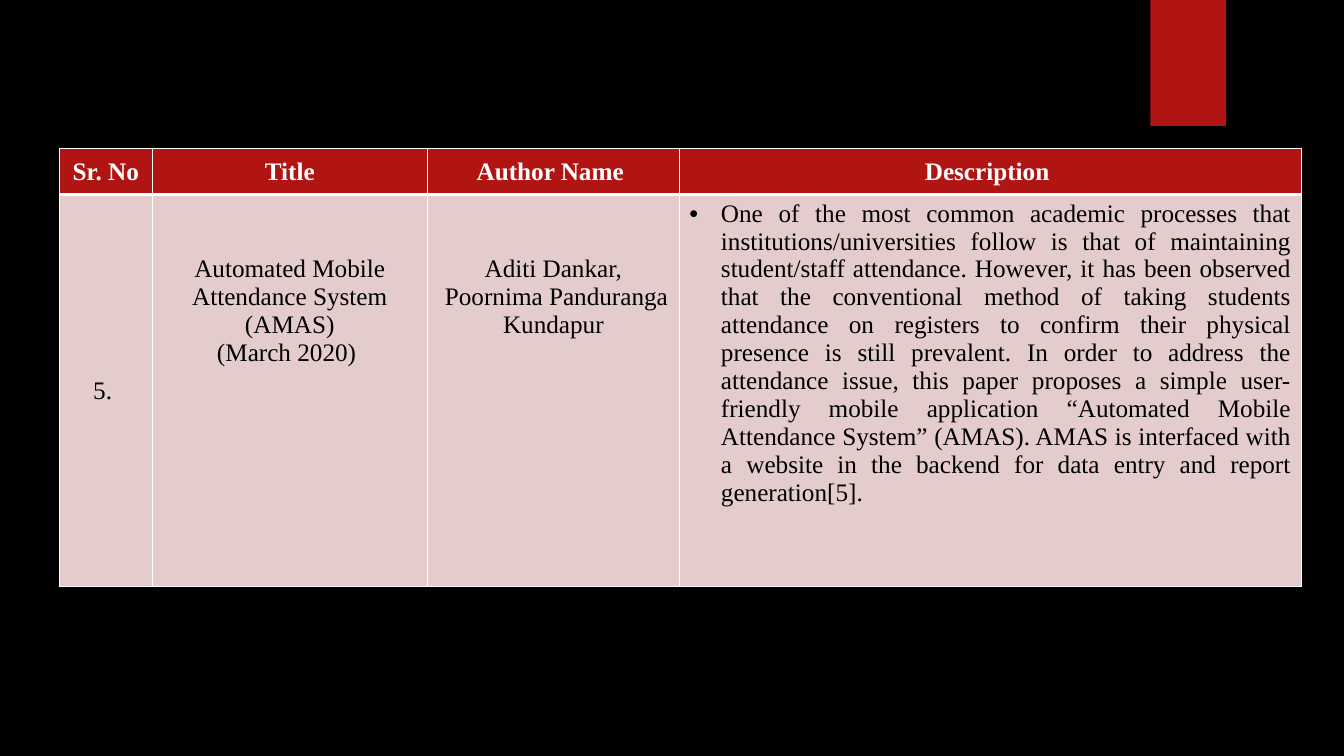
from lxml import etree
from pptx import Presentation
from pptx.dml.color import RGBColor
from pptx.enum.shapes import MSO_SHAPE
from pptx.enum.text import MSO_ANCHOR, PP_ALIGN
from pptx.oxml.ns import qn
from pptx.util import Pt

RECT = MSO_SHAPE.RECTANGLE
TOP, MIDDLE = MSO_ANCHOR.TOP, MSO_ANCHOR.MIDDLE
CENTER, JUSTIFY = PP_ALIGN.CENTER, PP_ALIGN.JUSTIFY

COLORS = {"back": "000000", "red": "B01513", "pink": "E4CCCC",
          "white": "FFFFFF", "black": "000000"}
FONT = "Times New Roman"
WIDTHS = [66.2, 196.6, 180, 444.2]
HEIGHTS = [33, 280]
DROP = 43.2  # top margin that sets the title and authors two lines lower

HEADS = ["Sr. No ", "Title", "Author Name ", "Description "]
TITLE = ["Automated Mobile Attendance System (AMAS)", "(March 2020) "]
AUTHORS = ["Aditi Dankar,", " Poornima Panduranga Kundapur"]
ABOUT = (
    "One of the most common academic processes that institutions/universities "
    "follow is that of maintaining student/staff attendance. However, it has "
    "been observed that the conventional method of taking students attendance "
    "on registers to confirm their physical presence is still prevalent. In "
    "order to address the attendance issue, this paper proposes a simple "
    "user-friendly mobile application “Automated Mobile Attendance System” "
    "(AMAS). AMAS is interfaced with a website in the backend for data entry "
    "and report generation[5]."
)


def paint(fill, name):
    fill.solid()
    fill.fore_color.rgb = RGBColor.from_string(COLORS[name])


def add_edges(cell, base):
    """Draw white cell borders; base is the width of the bottom one."""
    props = cell._tc.get_or_add_tcPr()
    for side, width in (("L", 1), ("R", 1), ("T", 1), ("B", base)):
        line = etree.SubElement(props, qn(f"a:ln{side}"), w=str(Pt(width)))
        fill = etree.SubElement(line, qn("a:solidFill"))
        etree.SubElement(fill, qn("a:srgbClr"), val=COLORS["white"])


def add_bullet(para, indent):
    props = para._p.get_or_add_pPr()
    props.set("marL", str(Pt(indent)))
    props.set("indent", str(-Pt(indent)))
    etree.SubElement(props, qn("a:buFont"), typeface="Arial")
    etree.SubElement(props, qn("a:buChar"), char="•")


def fill_cell(cell, lines, head=False, anchor=MIDDLE, align=CENTER, top=3.6):
    add_edges(cell, 3 if head else 1)
    paint(cell.fill, "red" if head else "pink")
    cell.vertical_anchor = anchor
    cell.margin_top = Pt(top)
    cell.text = "\n".join(lines)
    for para in cell.text_frame.paragraphs:
        para.alignment = align
        font = para.font
        font.name, font.size, font.bold = FONT, Pt(18), head
        paint(font.fill, "white" if head else "black")


def add_papers(slide):
    frame = slide.shapes.add_table(2, 4, Pt(42.5), Pt(106),
                                   Pt(sum(WIDTHS)), Pt(sum(HEIGHTS)))
    table = frame.table
    for col, width in zip(table.columns, WIDTHS):
        col.width = Pt(width)
    for row, height in zip(table.rows, HEIGHTS):
        row.height = Pt(height)

    for col, head in enumerate(HEADS):
        fill_cell(table.cell(0, col), [head], head=True)
    fill_cell(table.cell(1, 0), ["5. "])
    for col, lines in ((1, TITLE), (2, AUTHORS)):
        fill_cell(table.cell(1, col), lines, anchor=TOP, top=DROP)
    about = table.cell(1, 3)
    fill_cell(about, [ABOUT], anchor=TOP, align=JUSTIFY)
    add_bullet(about.text_frame.paragraphs[0], 22.5)


def add_tab(slide):
    tab = slide.shapes.add_shape(RECT, Pt(821.8), Pt(0), Pt(54), Pt(90))
    tab.shadow.inherit = False
    paint(tab.fill, "red")
    tab.line.fill.background()


def main():
    deck = Presentation()
    deck.slide_width, deck.slide_height = Pt(960), Pt(540)
    slide = deck.slides.add_slide(deck.slide_layouts[6])
    paint(slide.background.fill, "back")
    add_tab(slide)
    add_papers(slide)
    deck.save("out.pptx")


if __name__ == "__main__":
    main()
